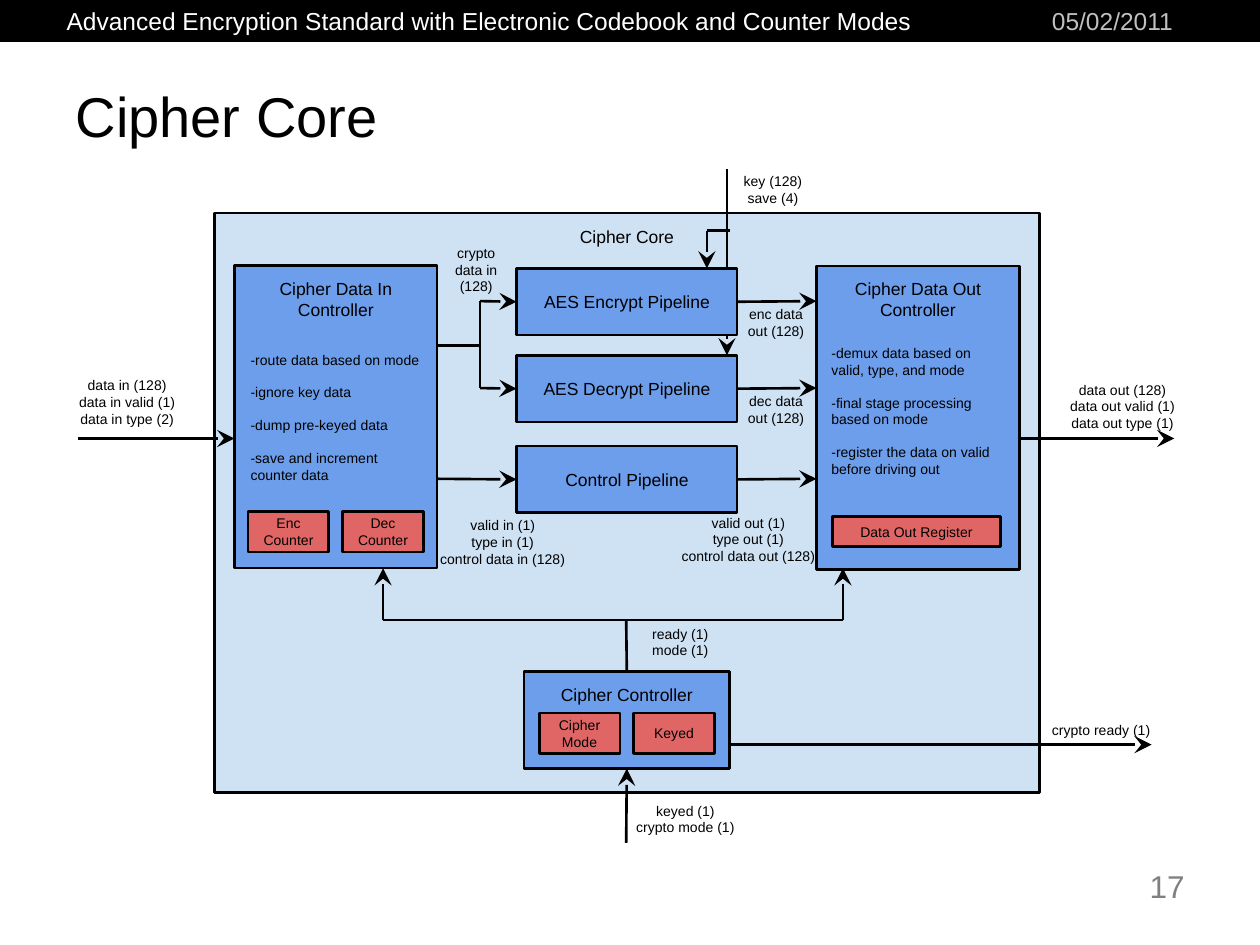
import pptx
import pptx.util
import pptx.dml.color
import pptx.enum.shapes
import pptx.enum.text
import pptx.oxml.ns
import lxml.etree

RGBColor = pptx.dml.color.RGBColor
Inches = pptx.util.Inches
Pt = pptx.util.Pt
Align = pptx.enum.text.PP_ALIGN
Anchor = pptx.enum.text.MSO_ANCHOR

BLACK = RGBColor(0x00, 0x00, 0x00)
WHITE = RGBColor(0xFF, 0xFF, 0xFF)
SILVER = RGBColor(0xC0, 0xC0, 0xC0)
GRAY = RGBColor(0x80, 0x80, 0x80)
PALE_BLUE = RGBColor(0xCF, 0xE2, 0xF3)
BLUE = RGBColor(0x6D, 0x9E, 0xEB)
RED = RGBColor(0xE0, 0x66, 0x66)

TOP, LEFT, BOTTOM, RIGHT = range(4)
FONT = "Arial"

IN_LEFT, IN_RIGHT = 1.86, 3.47
PIPE_LEFT, PIPE_RIGHT, PIPE_WIDTH, PIPE_HEIGHT = 4.1, 5.85, 1.75, 0.53
OUT_LEFT, OUT_RIGHT = 6.48, 8.09
CONTROLLER_WIDTH = 1.61
REGISTER_WIDTH, REGISTER_HEIGHT, REGISTER_STEP = 0.64, 0.32, 0.75
PORT_Y = 3.48
READY_Y = 4.92
KEY_X, ENCRYPT_KEY_X, KEY_BRANCH_Y = 5.77, 5.61, 1.83
BRANCH_X, BRANCH_Y = 3.81, 2.74
ENCRYPT_Y, DECRYPT_Y = 2.39, 3.08
READY_IN_X, READY_OUT_X, READY_X = 3.04, 6.69, 4.97

CORE = ("Cipher Core", 1.7, 1.69, 6.55, 4.6)
CONTROLLERS = [
    ("Cipher Data In Controller", IN_LEFT, 2.11, CONTROLLER_WIDTH, 2.4),
    ("Cipher Data Out Controller", OUT_LEFT, 2.11, CONTROLLER_WIDTH, 2.41),
    ("Cipher Controller", 4.16, 5.33, 1.63, 0.77),
]
PIPELINES = [
    ("AES Encrypt Pipeline", 2.13),
    ("AES Decrypt Pipeline", 2.82),
    ("Control Pipeline", 3.54),
]
REGISTER_PAIRS = [
    (1.97, 4.06, ["Enc Counter", "Dec Counter"]),
    (4.28, 5.66, ["Cipher Mode", "Keyed"]),
]
OUT_REGISTER = ("Data Out Register", 6.61, 4.1, 1.33, 0.24)

LABELS = [
    ("data in (128)\ndata in valid (1)\ndata in type (2)", 0.31, 2.95, 1.4, 0.48),
    ("data out (128)\ndata out valid (1)\ndata out type (1)", 8.23, 2.98, 1.36, 0.49),
    ("key (128)\nsave (4)", 5.77, 1.33, 0.73, 0.35),
    ("crypto data in (128)", 3.43, 1.97, 0.7, 0.34),
    ("enc data out (128)", 5.81, 2.39, 0.7, 0.34),
    ("dec data out (128)", 5.81, 3.08, 0.7, 0.34),
    ("valid in (1)\ntype in (1)\ncontrol data in (128)", 3.25, 3.99, 1.48, 0.62),
    ("valid out (1)\ntype out (1)\ncontrol data out (128)", 5.22, 3.94, 1.44, 0.68),
    ("keyed (1)\ncrypto mode (1)", 4.92, 6.31, 1.04, 0.38),
    ("crypto ready (1)", 8.16, 5.68, 1.16, 0.23),
    ("ready (1)\nmode (1)", 4.97, 4.93, 0.86, 0.33),
]
DUTIES = [
    (["-route data based on mode", "-ignore key data", "-dump pre-keyed data",
      "-save and increment counter data"], 1.89, 2.7, 1.55, 1.22),
    (["-demux data based on valid, type, and mode",
      "-final stage processing based on mode",
      "-register the data on valid before driving out"], 6.5, 2.65, 1.56, 1.22),
]

KEY_WIRES = [
    ((KEY_X, 1.34), ("AES Decrypt Pipeline", KEY_X, 2.82), True),
    ((KEY_X + 0.02, KEY_BRANCH_Y), (ENCRYPT_KEY_X, KEY_BRANCH_Y), False),
    ((ENCRYPT_KEY_X, KEY_BRANCH_Y), (ENCRYPT_KEY_X, 2.13), True),
]
KEY_WIRES[0] = (KEY_WIRES[0][0], (KEY_X, 2.82), True)
WIRES = [
    ((0.62, PORT_Y), (IN_LEFT, PORT_Y), True),
    ((OUT_RIGHT, PORT_Y), (9.32, PORT_Y), True),
    ((IN_RIGHT, BRANCH_Y), (BRANCH_X, BRANCH_Y), False),
    ((BRANCH_X, ENCRYPT_Y), (BRANCH_X, DECRYPT_Y), False),
    ((BRANCH_X, ENCRYPT_Y), ("AES Encrypt Pipeline", LEFT), True),
    ((BRANCH_X, DECRYPT_Y), ("AES Decrypt Pipeline", LEFT), True),
    ((IN_RIGHT, 3.8), ("Control Pipeline", LEFT), True),
    (("AES Encrypt Pipeline", RIGHT), (OUT_LEFT, ENCRYPT_Y), True),
    (("AES Decrypt Pipeline", RIGHT), (OUT_LEFT, DECRYPT_Y), True),
    (("Control Pipeline", RIGHT), (OUT_LEFT, 3.8), True),
    ((READY_X, 6.69), ("Cipher Controller", BOTTOM), True),
    (("Cipher Controller", TOP), (READY_X, READY_Y), False),
    ((READY_IN_X, READY_Y), (READY_OUT_X, READY_Y), False),
    ((READY_IN_X, READY_Y), (READY_IN_X, 4.51), True),
    ((READY_OUT_X, READY_Y), (READY_OUT_X, 4.51), True),
    ((5.79, 5.91), (9.14, 5.91), True),
]
KEY_WIRES = [wire for wire in KEY_WIRES]


def write(shape, paragraphs, size, color=BLACK, align=Align.CENTER,
          anchor=Anchor.MIDDLE, margin=0.1, gap=0, wrap=True):
    frame = shape.text_frame
    frame.word_wrap = wrap
    frame.auto_size = pptx.enum.text.MSO_AUTO_SIZE.NONE
    frame.vertical_anchor = anchor
    frame.margin_left = frame.margin_right = Inches(0.1)
    frame.margin_top = frame.margin_bottom = Inches(margin)
    for index, text in enumerate(paragraphs):
        paragraph = frame.add_paragraph() if index else frame.paragraphs[0]
        paragraph.alignment = align
        if index:
            paragraph.space_before = Pt(gap)
        for number, line in enumerate(text.split("\n")):
            if number:
                paragraph.add_line_break()
            run = paragraph.add_run()
            run.text = line
            run.font.name = FONT
            run.font.size = Pt(size)
            run.font.color.rgb = color


def add_box(slide, bounds, fill, line_width=1.5):
    shape = slide.shapes.add_shape(
        pptx.enum.shapes.MSO_SHAPE.RECTANGLE, *map(Inches, bounds))
    shape.shadow.inherit = False
    shape.fill.solid()
    shape.fill.fore_color.rgb = fill
    shape.line.color.rgb = BLACK
    shape.line.width = Pt(line_width)
    return shape


def add_text(slide, bounds, paragraphs, size, **style):
    box = slide.shapes.add_textbox(*map(Inches, bounds))
    write(box, paragraphs, size, **style)


def add_wire(slide, boxes, start, end, arrow):
    joined = [isinstance(point[0], str) for point in (start, end)]
    points = [(0, 0) if join else point for join, point in zip(joined, (start, end))]
    connector = slide.shapes.add_connector(
        pptx.enum.shapes.MSO_CONNECTOR.STRAIGHT,
        *(Inches(value) for point in points for value in point))
    if joined[0]:
        connector.begin_connect(boxes[start[0]], start[1])
    if joined[1]:
        connector.end_connect(boxes[end[0]], end[1])
    connector.line.color.rgb = BLACK
    connector.line.width = Pt(1.5)
    if arrow:
        lxml.etree.SubElement(connector.line._get_or_add_ln(), pptx.oxml.ns.qn("a:tailEnd"),
                              type="stealth", w="lg", len="lg")
    lxml.etree.SubElement(connector._element.spPr, pptx.oxml.ns.qn("a:effectLst"))


def main():
    presentation = pptx.Presentation()
    presentation.slide_width = Inches(10)
    presentation.slide_height = Inches(7.5)
    slide = presentation.slides.add_slide(presentation.slide_layouts[5])

    add_box(slide, (0, 0, 10, 0.33), BLACK, 0.75)
    plain = dict(align=Align.LEFT, anchor=Anchor.TOP, margin=0.05)
    add_text(slide, (0.43, 0, 6.91, 0.34),
             ["Advanced Encryption Standard with Electronic Codebook and Counter Modes"],
             14, color=WHITE, wrap=False, **plain)
    add_text(slide, (8.25, 0, 1.25, 0.25), ["05/02/2011"], 14, color=SILVER, **plain)
    add_text(slide, (8.5, 6.83, 1, 0.44), ["17"], 18, color=GRAY,
             **{**plain, "align": Align.RIGHT})
    title = slide.shapes.title
    title.left, title.top, title.width, title.height = map(Inches, (0.5, 0.5, 9, 0.83))
    write(title, ["Cipher Core"], 32, align=Align.LEFT)

    boxes = {}
    name, *bounds = CORE
    write(add_box(slide, bounds, PALE_BLUE), [name], 10, anchor=Anchor.TOP)
    for wire in KEY_WIRES:
        add_wire(slide, boxes, *wire)
    for name, *bounds in CONTROLLERS:
        boxes[name] = add_box(slide, bounds, BLUE)
        write(boxes[name], [name], 10, anchor=Anchor.TOP)
    for name, top in PIPELINES:
        boxes[name] = add_box(slide, (PIPE_LEFT, top, PIPE_WIDTH, PIPE_HEIGHT), BLUE)
        write(boxes[name], [name], 10)
    registers = [OUT_REGISTER] + [
        (name, left + column * REGISTER_STEP, top, REGISTER_WIDTH, REGISTER_HEIGHT)
        for left, top, names in REGISTER_PAIRS for column, name in enumerate(names)]
    for name, *bounds in registers:
        write(add_box(slide, bounds, RED), [name], 8)
    for wire in WIRES:
        add_wire(slide, boxes, *wire)
    for text, *bounds in LABELS:
        add_text(slide, bounds, [text], 8)
    for duties, *bounds in DUTIES:
        add_text(slide, bounds, duties, 8, align=Align.LEFT, gap=9.2)

    presentation.save("out.pptx")


if __name__ == "__main__":
    main()
